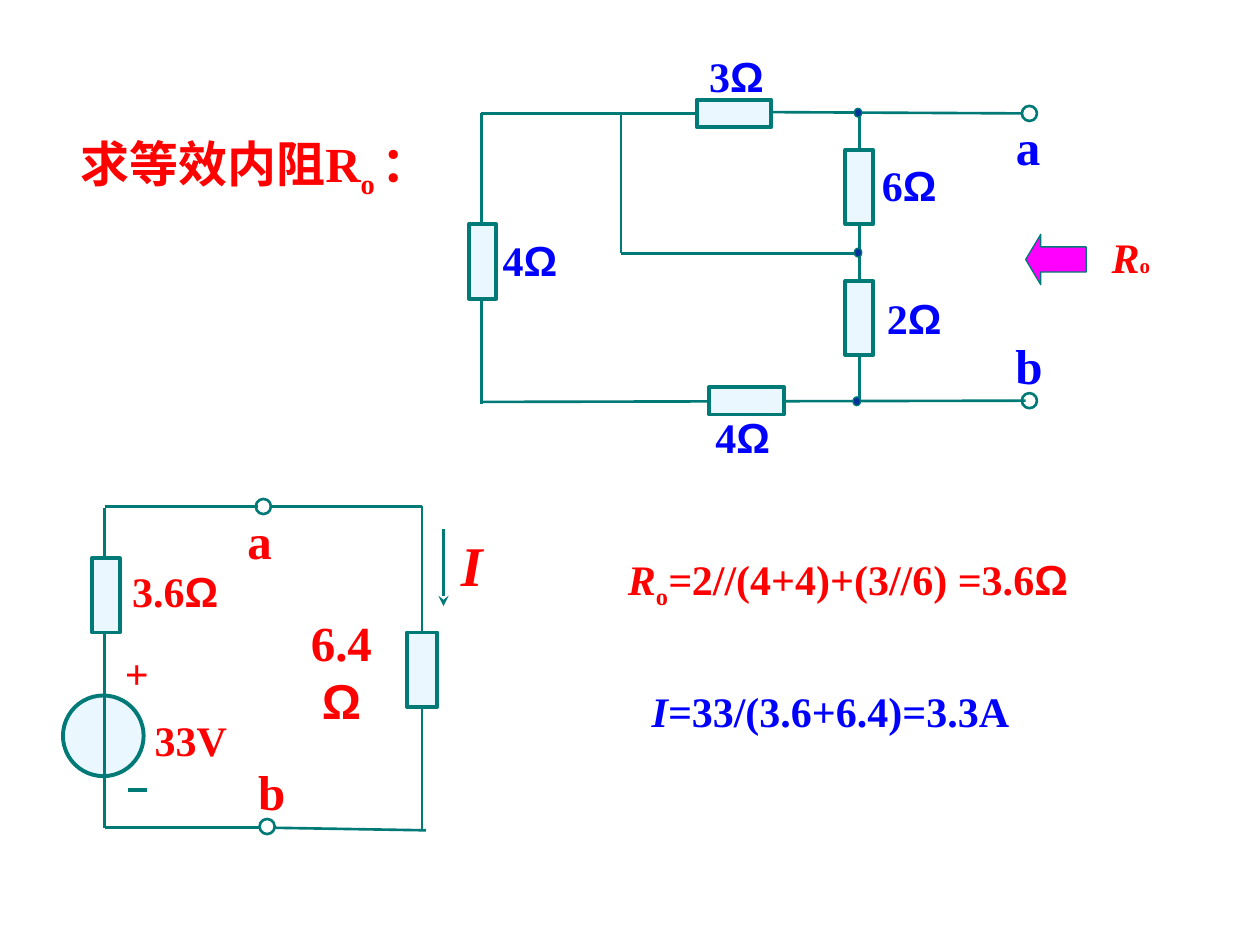
"""Build a slide that finds the equivalent resistance and current of a circuit."""
import pptx
import pptx.dml.color
import pptx.enum.shapes
import pptx.enum.text
import pptx.util
from lxml import etree
from pptx.oxml.ns import qn

Inches = pptx.util.Inches
Shape = pptx.enum.shapes.MSO_SHAPE
Anchor = pptx.enum.text.MSO_ANCHOR
Align = pptx.enum.text.PP_ALIGN

TEAL, PALE, NAVY, PINK = "007A77", "EBF7FF", "003399", "FF00FF"
RED, BLUE = "FF0000", "0000FF"
SERIF, SANS = "Times New Roman", "Arial"
OHM = ("Ω", {"name": SANS})
ITALIC = {"italic": True}
SUBSCRIPT = {"baseline": -25}

FORMULAS = [
    ((0.28, 1.01, 3.5, 0.63), 28, RED, False,
     [("求等效内阻R", {}), ("o ", SUBSCRIPT), ("：", {})]),
    ((4.63, 4.34, 4.2, 0.56), 24, RED, True,
     [("R", ITALIC), ("o", SUBSCRIPT), ("=", ITALIC), ("2//(4+4)+(3//6) =3.6", {}), OHM]),
    ((4.82, 5.39, 3.54, 0.5), 24, BLUE, True, [("I=", ITALIC), ("33/(3.6+6.4)=3.3A", {})]),
    ((8.67, 1.79, 0.61, 0.5), 24, RED, True,
     [("R", ITALIC), ("o", {"size": pptx.util.Pt(12)})]),
    ((2.26, 5.04, 0.9, 0.57), 28, RED, True, [("6.4", {}), OHM]),
    ((0.9, 4.44, 0.98, 0.5), 24, RED, True, [("3.6", {}), OHM]),
    ((3.56, 4.16, 0.37, 0.64), 32, RED, False, [("I", ITALIC)]),
    ((1.06, 5.62, 0.91, 0.5), 24, RED, False, [("33V", {})]),
    ((0.89, 5.09, 0.39, 0.5), 24, RED, False, [("+", {})]),
]
TERMINAL_LABELS = [("a", 7.96, 0.87, BLUE), ("b", 7.96, 2.61, BLUE),
                   ("a", 1.86, 4, RED), ("b", 1.95, 5.99, RED)]
RESISTANCES = [("3", 5.53, 0.35), ("4", 3.89, 1.81), ("6", 6.9, 1.22),
               ("2", 6.94, 2.27), ("4", 5.58, 3.22)]
WIRES = [
    (3.82, 0.9, 5.53, 0.9), (6.11, 0.89, 8.12, 0.9), (3.82, 0.9, 3.82, 1.78),
    (3.82, 2.37, 3.82, 3.21), (3.83, 3.19, 8.14, 3.18), (6.82, 0.9, 6.82, 1.18),
    (6.82, 1.76, 6.82, 2.23), (6.82, 2.83, 6.82, 3.19), (4.93, 2.01, 6.82, 2.01),
    (4.93, 0.9, 4.93, 2.01), (3.35, 4.02, 3.35, 6.59), (2.15, 4.02, 3.35, 4.02),
    (2.18, 6.57, 3.38, 6.59), (0.83, 4.03, 0.83, 4.44), (0.83, 6.57, 2.07, 6.57),
    (0.83, 4.02, 2.05, 4.02), (0.83, 5.03, 0.83, 6.57),
]
CURRENT_ARROW = (3.52, 4.2, 3.52, 4.81)
MINUS_SIGN = (1.02, 6.27, 1.17, 6.27)
RESISTORS = [
    (3.72, 1.78, 0.22, 0.59), (5.53, 0.79, 0.59, 0.22), (6.71, 1.19, 0.22, 0.59),
    (6.71, 2.23, 0.22, 0.59), (5.63, 3.07, 0.59, 0.22), (3.23, 5.02, 0.24, 0.59),
    (0.73, 4.43, 0.22, 0.59),
]
JUNCTIONS = [(6.78, 0.86), (6.78, 1.97), (6.77, 3.15)]
TERMINALS = [(8.11, 0.84), (8.11, 3.12), (2.06, 6.5), (2.03, 3.96)]
VOLTAGE_SOURCE = (0.5, 5.52, 0.64, 0.64)
RESISTANCE_ARROW = (8.14, 1.86, 0.48, 0.4)


def rgb(value):
    return pptx.dml.color.RGBColor.from_string(value)


def outline(part, width):
    part.line.color.rgb = rgb(TEAL)
    part.line.width = pptx.util.Pt(width)


def add_part(slide, kind, box, fill, width):
    part = slide.shapes.add_shape(kind, *map(Inches, box))
    part.shadow.inherit = False
    if fill:
        part.fill.solid()
        part.fill.fore_color.rgb = rgb(fill)
    else:
        part.fill.background()
    outline(part, width)
    return part


def add_wire(slide, ends, width=1.5):
    wire = slide.shapes.add_connector(
        pptx.enum.shapes.MSO_CONNECTOR.STRAIGHT, *map(Inches, ends))
    outline(wire, width)
    etree.SubElement(wire._element.spPr, qn("a:effectLst"))
    return wire


def add_text(slide, box, size, color, wrap, pieces, anchor=Anchor.MIDDLE, align=Align.CENTER):
    frame = slide.shapes.add_textbox(*map(Inches, box)).text_frame
    for key, value in {"word_wrap": wrap, "vertical_anchor": anchor}.items():
        setattr(frame, key, value)
    paragraph = frame.paragraphs[0]
    paragraph.alignment = align
    for words, changes in pieces:
        run = paragraph.add_run()
        run.text = words
        run.font.color.rgb = rgb(color)
        formats = {"name": SERIF, "size": pptx.util.Pt(size), "bold": True} | changes
        for key, value in formats.items():
            if key == "baseline":
                run._r.get_or_add_rPr().set(key, str(value * 1000))
            else:
                setattr(run.font, key, value)


def main():
    deck = pptx.Presentation()
    deck.slide_width, deck.slide_height = Inches(10), Inches(7.5)
    slide = deck.slides.add_slide(deck.slide_layouts[6])

    add_part(slide, Shape.OVAL, VOLTAGE_SOURCE, PALE, 2.25)
    for ends in WIRES:
        add_wire(slide, ends)
    add_wire(slide, MINUS_SIGN, 2.25)
    current = add_wire(slide, CURRENT_ARROW)
    etree.SubElement(current.line._get_or_add_ln(), qn("a:tailEnd"), type="stealth")

    for box in RESISTORS:
        add_part(slide, Shape.RECTANGLE, box, PALE, 2.25)
    for place in JUNCTIONS:
        add_part(slide, Shape.OVAL, (*place, 0.06, 0.07), NAVY, 0.75)
    for place in TERMINALS:
        add_part(slide, Shape.OVAL, (*place, 0.12, 0.12), None, 1.5)
    arrow = add_part(slide, Shape.LEFT_ARROW, RESISTANCE_ARROW, PINK, 0.75)
    arrow.adjustments[0], arrow.adjustments[1] = 0.5, 0.3

    for formula in FORMULAS:
        add_text(slide, *formula)
    for letter, left, top, color in TERMINAL_LABELS:
        add_text(slide, (left, top, 0.4, 0.57), 28, color, False, [(letter, {})])
    for ohms, left, top in RESISTANCES:
        add_text(slide, (left, top, 0.72, 0.5), 24, BLUE, True, [(ohms, {}), OHM],
                 Anchor.TOP, Align.LEFT)
    deck.save("out.pptx")


if __name__ == "__main__":
    main()
